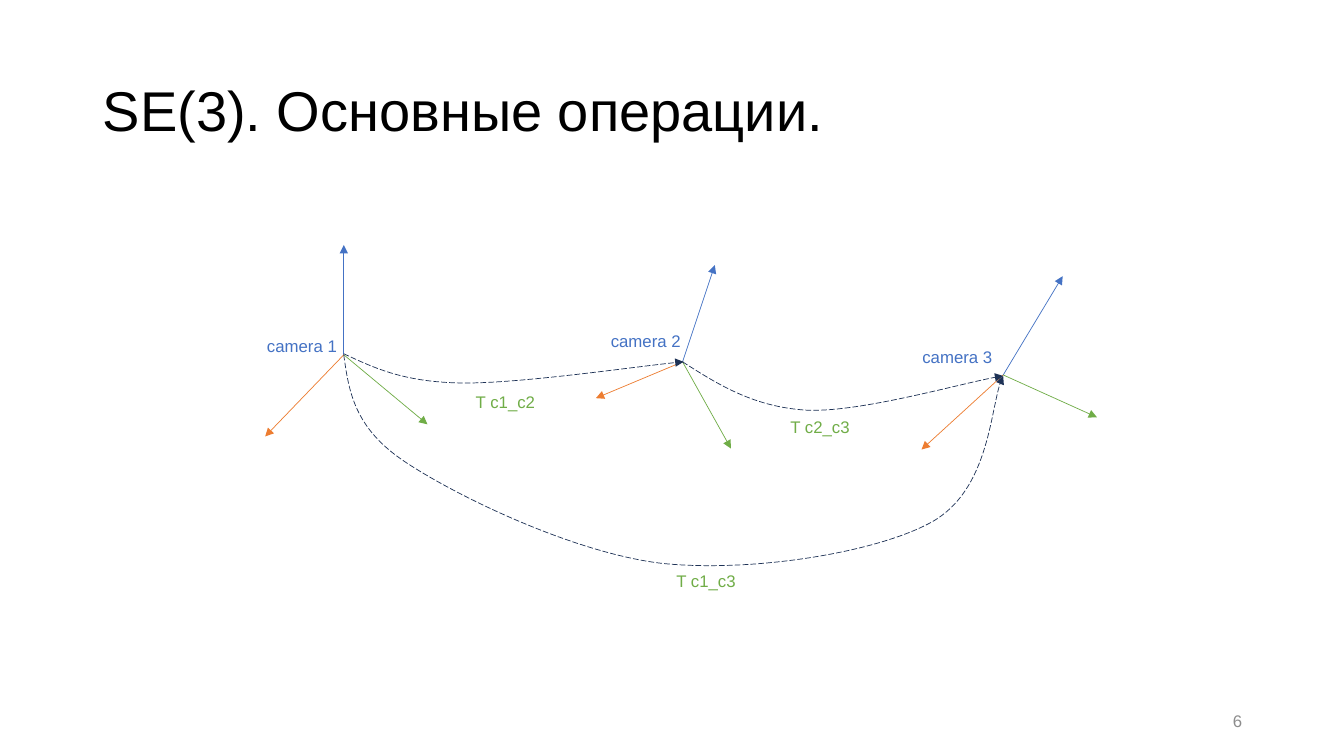
from lxml.etree import SubElement
from pptx import Presentation
from pptx.dml.color import RGBColor
from pptx.enum.dml import MSO_LINE
from pptx.enum.shapes import MSO_CONNECTOR
from pptx.enum.text import MSO_ANCHOR as Anchor, MSO_AUTO_SIZE as AutoSize, PP_ALIGN as Align
from pptx.oxml.ns import qn
from pptx.util import Inches, Pt

WIDTH, HEIGHT = 13.33, 7.5
BLUE, ORANGE, GREEN, NAVY = "4472C4", "ED7D31", "70AD47", "1E3256"
BLACK, GREY = "000000", "8C8C8C"
AXIS_COLOURS = (BLUE, ORANGE, GREEN)

TITLE = "SE(3). Основные операции."
PAGE_NUMBER = "6"

CAMERAS = [
    ((3.41, 3.52), [(3.41, 2.43), (2.63, 4.33), (4.24, 4.21)]),
    ((6.77, 3.59), [(7.09, 2.63), (5.91, 3.95), (7.25, 4.45)]),
    ((9.95, 3.72), [(10.54, 2.74), (9.14, 4.46), (10.88, 4.14)]),
]

LABELS = [
    ("camera 1", (2.55, 3.28, 0.9, 0.3), BLUE),
    ("camera 2", (5.96, 3.23, 0.9, 0.3), BLUE),
    ("camera 3", (9.05, 3.39, 0.9, 0.3), BLUE),
    ("T c1_c2", (4.62, 3.84, 0.8, 0.3), GREEN),
    ("T c2_c3", (7.74, 4.09, 0.8, 0.3), GREEN),
    ("T c1_c3", (6.61, 5.61, 0.8, 0.3), GREEN),
]

TRANSFORMS = [
    [(3.41, 3.51), (3.71, 3.65), (4, 3.79), (4.57, 3.8),
     (5.13, 3.81), (6.42, 3.62), (6.78, 3.59)],
    [(6.77, 3.59), (7.13, 3.82), (7.48, 4.04), (8.01, 4.07),
     (8.54, 4.09), (9.65, 3.77), (9.95, 3.73)],
    [(3.41, 3.52), (3.46, 3.88), (3.51, 4.25), (4.03, 4.59),
     (4.56, 4.94), (5.71, 5.49), (6.57, 5.59),
     (7.44, 5.68), (8.68, 5.49), (9.24, 5.18),
     (9.8, 4.87), (9.83, 3.95), (9.95, 3.73)],
]


def colour(value):
    return RGBColor.from_string(value)


def write(box, text, size=12, ink=BLACK, align=Align.LEFT, anchor=Anchor.TOP,
          wrap=True, spacing=1.0):
    frame = box.text_frame
    frame.auto_size = AutoSize.NONE
    frame.word_wrap = wrap
    frame.vertical_anchor = anchor
    para = frame.paragraphs[0]
    para.alignment = align
    para.line_spacing = spacing
    span = para.add_run()
    span.text = text
    span.font.name = "Arial"
    span.font.size = Pt(size)
    span.font.color.rgb = colour(ink)


def add_text(page, area, text, **style):
    write(page.shapes.add_textbox(*map(Inches, area)), text, **style)


def style_arrow(shape, ink, dash=None):
    line = shape.line
    line.color.rgb = colour(ink)
    line.width = Pt(0.5)
    if dash:
        line.dash_style = dash
    SubElement(line._get_or_add_ln(), qn("a:tailEnd"), type="triangle")


def add_axis(page, origin, tip, ink):
    axis = page.shapes.add_connector(
        MSO_CONNECTOR.STRAIGHT, *map(Inches, origin + tip))
    style_arrow(axis, ink)
    SubElement(axis._element.spPr, qn("a:effectLst"))


def add_transform(page, points):
    start, *rest = [(Inches(x), Inches(y)) for x, y in points]
    builder = page.shapes.build_freeform(*start)
    builder.add_line_segments(rest, close=False)
    curve = builder.convert_to_shape()
    outline = curve._element.find(".//" + qn("a:path"))
    segments = outline.findall(qn("a:lnTo"))
    for first in range(0, len(segments), 3):
        bezier = SubElement(outline, qn("a:cubicBezTo"))
        for segment in segments[first:first + 3]:
            bezier.append(segment[0])
            outline.remove(segment)
    curve.shadow.inherit = False
    curve.fill.background()
    style_arrow(curve, NAVY, MSO_LINE.LONG_DASH)


def main():
    deck = Presentation()
    deck.slide_width, deck.slide_height = Inches(WIDTH), Inches(HEIGHT)
    page = deck.slides.add_slide(deck.slide_layouts[5])

    title = page.shapes.title
    title.left, title.top, title.width, title.height = map(Inches, (0.92, 0.4, 11.5, 1.45))
    write(title, TITLE, size=40, anchor=Anchor.MIDDLE, spacing=0.9)

    for origin, tips in CAMERAS:
        for tip, ink in zip(tips, AXIS_COLOURS):
            add_axis(page, origin, tip, ink)
    for points in TRANSFORMS:
        add_transform(page, points)
    for text, area, ink in LABELS:
        add_text(page, area, text, ink=ink, wrap=False)
    add_text(page, (9.42, 6.95, 3, 0.4), PAGE_NUMBER, ink=GREY,
             align=Align.RIGHT, anchor=Anchor.MIDDLE)

    deck.save("out.pptx")


if __name__ == "__main__":
    main()
